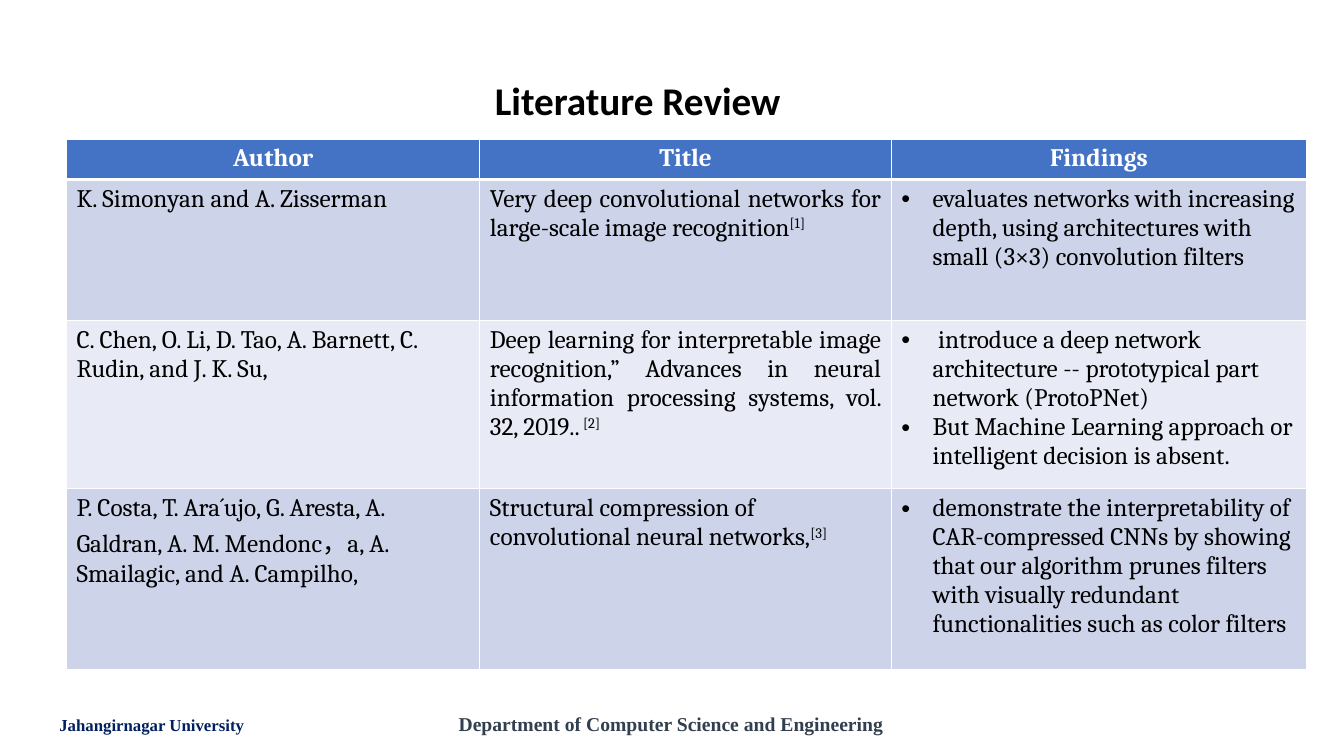
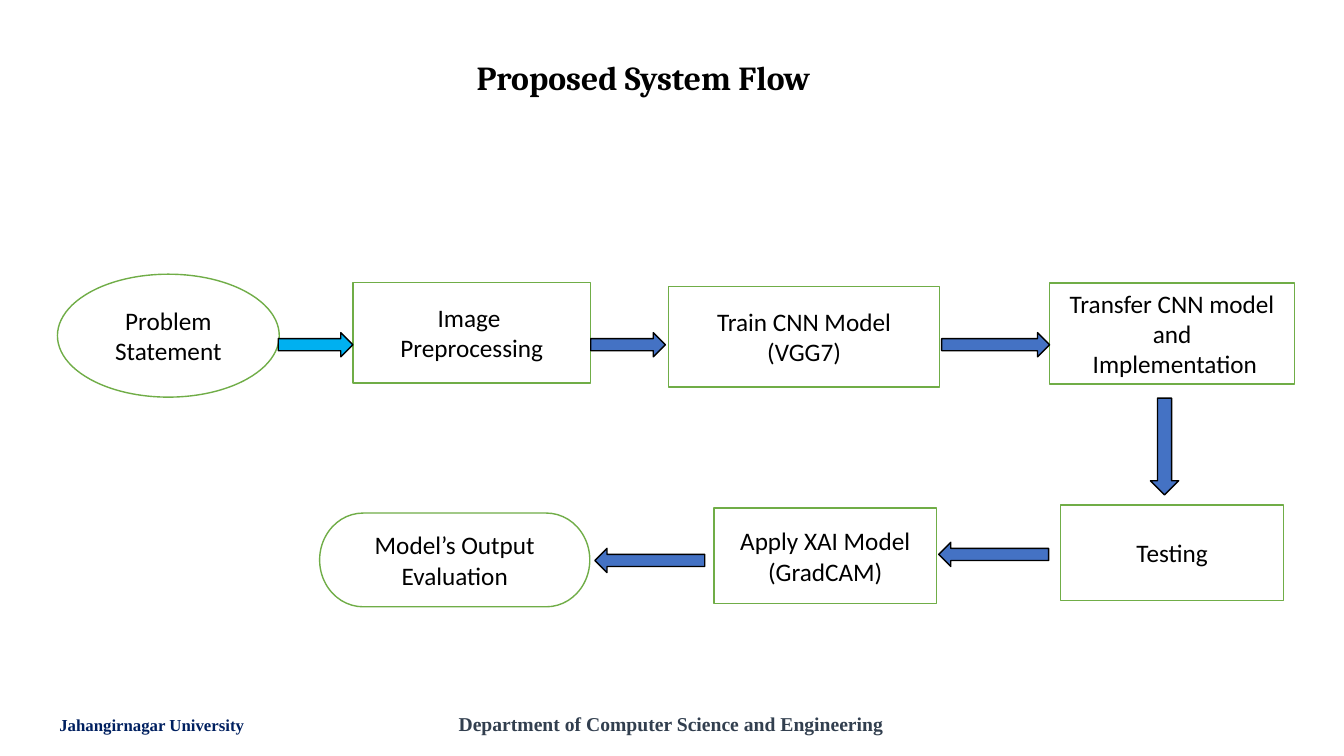
from dataclasses import dataclass

from lxml import etree
from pptx import Presentation
from pptx import util as u
from pptx.dml.color import RGBColor
from pptx.enum import shapes, text
from pptx.oxml.ns import qn

Inches, Pt = u.Inches, u.Pt
ALIGN = text.PP_ALIGN
SHAPE = shapes.MSO_SHAPE


@dataclass(frozen=True)
class Theme:
    black: str = "000000"
    white: str = "FFFFFF"
    navy: str = "002060"
    slate: str = "323F4F"
    blue: str = "4472C4"
    cyan: str = "00B0F0"
    green: str = "70AD47"
    bands: tuple[str, str] = ("CDD4EA", "E8EBF5")
    sans: str = "Calibri"
    serif: str = "Cambria"
    footer: str = "Times New Roman"
    body_size: int = 18


THEME = Theme()


@dataclass(frozen=True)
class Style:
    font: str
    size: int
    color: str = THEME.black
    bold: bool = False


@dataclass(frozen=True)
class Label:
    """A text box with one line of text."""
    words: str
    area: tuple[float, float, float, float]
    style: Style
    align: ALIGN = ALIGN.LEFT


@dataclass(frozen=True)
class Entry:
    """One table cell: paragraphs, an optional citation and the layout."""
    lines: tuple[str, ...]
    cite: str = ""
    align: ALIGN = ALIGN.LEFT
    bullet: bool = False


@dataclass(frozen=True)
class Step:
    kind: SHAPE
    area: tuple[float, float, float, float]
    lines: tuple[str, ...]


@dataclass(frozen=True)
class Arrow:
    area: tuple[float, float, float, float]
    turn: int = 0
    color: str = THEME.blue


CELL = Style(THEME.serif, THEME.body_size)
HEADER = Style(THEME.serif, THEME.body_size, THEME.white, True)
STEP = Style(THEME.sans, THEME.body_size)

FOOTERS = (
    Label("Jahangirnagar University", (0.49, 7.04, 2.28, 0.3),
          Style(THEME.footer, 12, THEME.navy, True)),
    Label("Department of Computer Science and Engineering", (4.45, 7.01, 5.19, 0.34),
          Style(THEME.footer, 14, THEME.slate, True), ALIGN.JUSTIFY),
)

# Literature table
TABLE_LEFT, TABLE_TOP = 0.66, 1.38
COLUMNS = (4.1, 4.08, 4.12)
ROWS = (0.38, 1.4, 1.67, 1.79)
HEADINGS = ("Author", "Title", "Findings")
PAPERS = (
    (
        Entry(("K. Simonyan and A. Zisserman",)),
        Entry(("Very deep convolutional networks for large-scale image recognition",),
              "[1]", ALIGN.JUSTIFY),
        Entry(("evaluates networks with increasing depth, using architectures with "
               "small (3×3) convolution filters",), bullet=True),
    ),
    (
        Entry(("C. Chen, O. Li, D. Tao, A. Barnett, C. Rudin, and J. K. Su,",)),
        Entry(("Deep learning for interpretable image recognition,” Advances in neural "
               "information processing systems, vol. 32, 2019..",), " [2]", ALIGN.JUSTIFY),
        Entry((" introduce a deep network architecture -- prototypical part "
               "network (ProtoPNet)",
               "But Machine Learning approach or intelligent decision is absent."),
              bullet=True),
    ),
    (
        Entry(("P. Costa, T. Ara´ujo, G. Aresta, A. Galdran, A. M. Mendonc，a, "
               "A. Smailagic, and A. Campilho,",)),
        Entry(("Structural compression of convolutional neural networks,",), "[3]"),
        Entry(("demonstrate the interpretability of CAR-compressed CNNs by showing that "
               "our algorithm prunes filters with visually redundant functionalities "
               "such as color filters",), bullet=True),
    ),
)

# Flow chart
STEPS = (
    Step(SHAPE.OVAL, (0.57, 2.72, 2.2, 1.22), ("Problem Statement",)),
    Step(SHAPE.RECTANGLE, (3.5, 2.8, 2.36, 1), ("Image ", "Preprocessing")),
    Step(SHAPE.RECTANGLE, (6.63, 2.84, 2.69, 1), ("Train CNN Model", "(VGG7)")),
    Step(SHAPE.RECTANGLE, (10.41, 2.81, 2.43, 1),
         ("Transfer CNN model and", " Implementation")),
    Step(SHAPE.RECTANGLE, (10.52, 5.01, 2.21, 0.95), ("Testing",)),
    Step(SHAPE.RECTANGLE, (7.08, 5.04, 2.21, 0.95), ("Apply XAI Model", "(GradCAM)")),
    Step(SHAPE.FLOWCHART_TERMINATOR, (3.17, 5.09, 2.68, 0.93),
         ("Model’s Output Evaluation",)),
)
ARROWS = (
    Arrow((2.76, 3.3, 0.74, 0.24), color=THEME.cyan),
    Arrow((5.86, 3.3, 0.74, 0.24)),
    Arrow((9.34, 3.3, 1.07, 0.24)),
    Arrow((11.07, 4.29, 0.96, 0.28), 90),
    Arrow((9.31, 5.38, 1.09, 0.24), 180),
    Arrow((5.9, 5.44, 1.09, 0.24), 180),
)


def rgb(color: str) -> RGBColor:
    return RGBColor.from_string(color)


def inches(area: tuple[float, ...]) -> list[u.Length]:
    return [Inches(value) for value in area]


def add_span(para, words: str, style: Style, raised: bool = False) -> None:
    span = para.add_run()
    span.text = words
    font = span.font
    font.name, font.size, font.bold = style.font, Pt(style.size), style.bold
    font.color.rgb = rgb(style.color)
    if raised:
        span._r.get_or_add_rPr().set("baseline", "30000")


def write_lines(frame, lines: tuple[str, ...], style: Style, align: ALIGN) -> list:
    """Write one paragraph per line and return the paragraphs."""
    frame.word_wrap = True
    for index, words in enumerate(lines):
        para = frame.add_paragraph() if index else frame.paragraphs[0]
        para.alignment = align
        add_span(para, words, style)
    return list(frame.paragraphs)


def add_label(page, label: Label):
    box = page.shapes.add_textbox(*inches(label.area))
    return box.text_frame, write_lines(box.text_frame, (label.words,),
                                       label.style, label.align)


def add_page(deck, title: Label):
    """Add a blank page with the shared footers and its title."""
    page = deck.slides.add_slide(deck.slide_layouts[6])
    for footer in FOOTERS:
        add_label(page, footer)
    frame, paras = add_label(page, title)
    frame.vertical_anchor = text.MSO_ANCHOR.MIDDLE
    paras[0].line_spacing = 0.9
    return page


def add_bullet(para) -> None:
    props = para._p.get_or_add_pPr()
    indent = Inches(0.31)
    props.set("marL", str(indent))
    props.set("indent", str(-indent))
    color = etree.SubElement(props, qn("a:buClr"))
    etree.SubElement(color, qn("a:srgbClr"), val=THEME.black)
    etree.SubElement(props, qn("a:buFont"), typeface="Arial")
    etree.SubElement(props, qn("a:buChar"), char="•")


def set_borders(cell, top: int, bottom: int) -> None:
    props = cell._tc.get_or_add_tcPr()
    for side, width in (("L", 1), ("R", 1), ("T", top), ("B", bottom)):
        line = etree.SubElement(props, qn(f"a:ln{side}"), w=str(Pt(width)))
        fill = etree.SubElement(line, qn("a:solidFill"))
        etree.SubElement(fill, qn("a:srgbClr"), val=THEME.white)


def fill_cell(cell, entry: Entry, style: Style, color: str) -> None:
    cell.fill.solid()
    cell.fill.fore_color.rgb = rgb(color)
    paras = write_lines(cell.text_frame, entry.lines, style, entry.align)
    if entry.bullet:
        for para in paras:
            add_bullet(para)
    if entry.cite:
        add_span(paras[-1], entry.cite, style, raised=True)


def add_literature_table(page) -> None:
    area = (TABLE_LEFT, TABLE_TOP, sum(COLUMNS), sum(ROWS))
    table = page.shapes.add_table(len(ROWS), len(COLUMNS), *inches(area)).table
    table.horz_banding = False
    for column, width in zip(table.columns, COLUMNS):
        column.width = Inches(width)
    for row, height in zip(table.rows, ROWS):
        row.height = Inches(height)
    headings = tuple(Entry((words,), align=ALIGN.CENTER) for words in HEADINGS)
    for index, entries in enumerate((headings, *PAPERS)):
        style = CELL if index else HEADER
        color = THEME.bands[(index - 1) % 2] if index else THEME.blue
        for column, entry in enumerate(entries):
            cell = table.cell(index, column)
            set_borders(cell, 3 if index == 1 else 1, 1 if index else 3)
            fill_cell(cell, entry, style, color)


def add_block(page, kind: SHAPE, area: tuple[float, ...], fill: str, line: str):
    block = page.shapes.add_shape(kind, *inches(area))
    block.shadow.inherit = False
    block.fill.solid()
    block.fill.fore_color.rgb = rgb(fill)
    block.line.color.rgb = rgb(line)
    block.line.width = Pt(1)
    return block


def add_flow(page) -> None:
    for step in STEPS:
        block = add_block(page, step.kind, step.area, THEME.white, THEME.green)
        block.text_frame.vertical_anchor = text.MSO_ANCHOR.MIDDLE
        write_lines(block.text_frame, step.lines, STEP, ALIGN.CENTER)
    for arrow in ARROWS:
        block = add_block(page, SHAPE.RIGHT_ARROW, arrow.area, arrow.color, THEME.black)
        block.rotation = arrow.turn


def main() -> None:
    deck = Presentation()
    deck.slide_width, deck.slide_height = Inches(13.33), Inches(7.5)

    # Literature review
    page = add_page(deck, Label("Literature Review", (4.81, 0.29, 4.11, 1.45),
                                Style(THEME.sans, 28, bold=True)))
    add_literature_table(page)

    # System flow
    page = add_page(deck, Label("Proposed System Flow", (4.29, 0.34, 4.18, 0.9),
                                Style(THEME.serif, 24, bold=True), ALIGN.CENTER))
    add_flow(page)

    deck.save("out.pptx")


if __name__ == "__main__":
    main()
